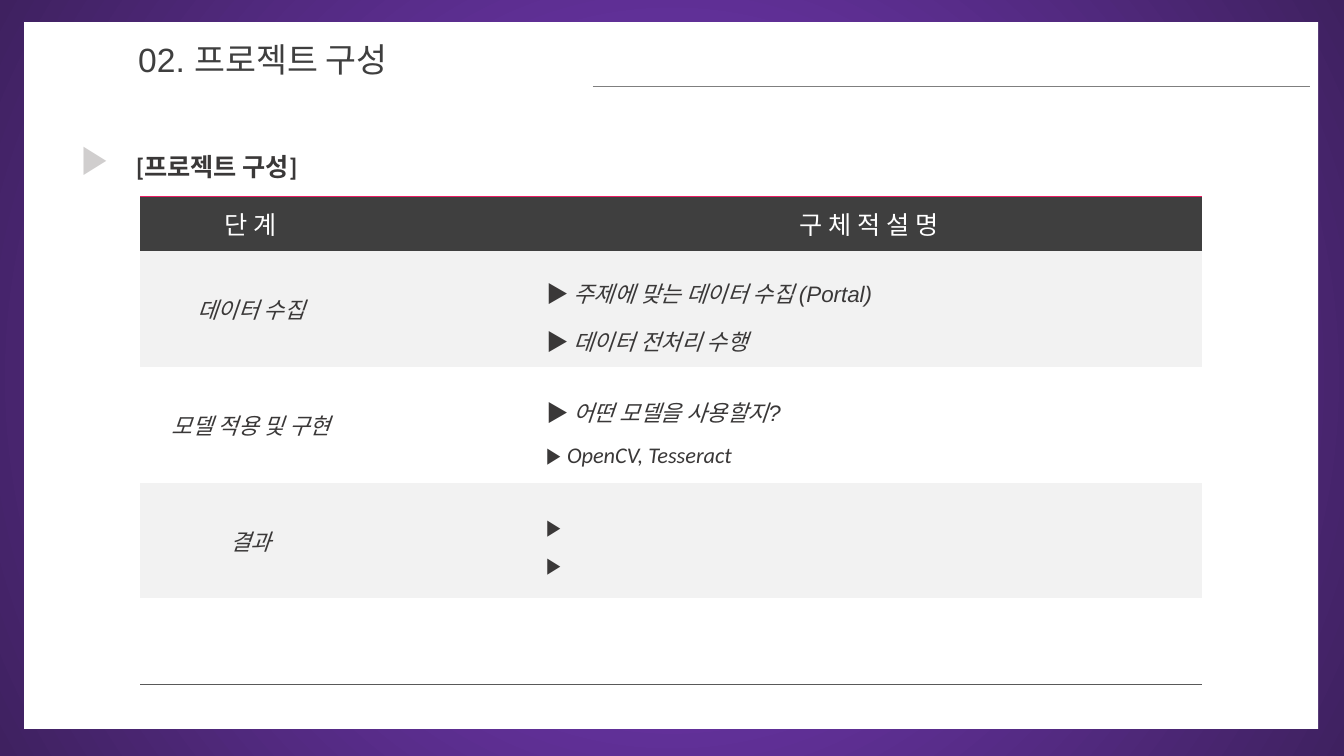
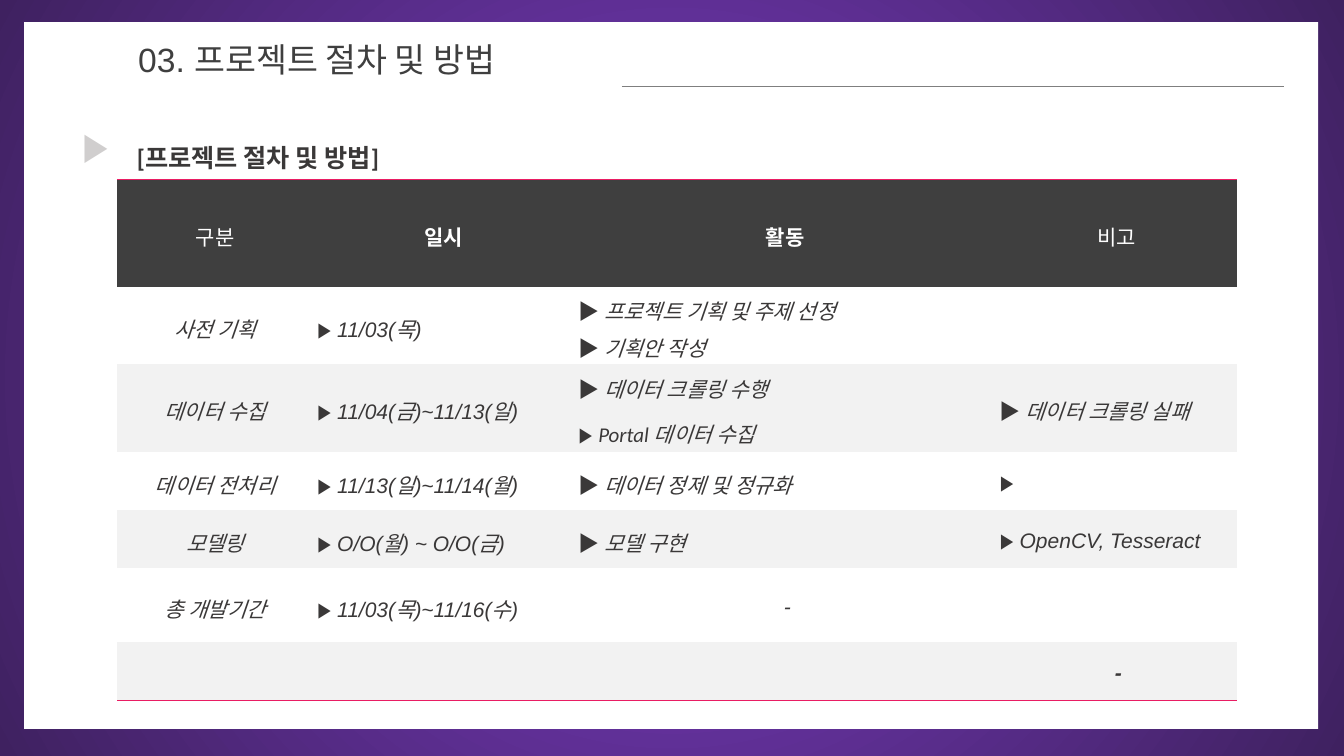
from dataclasses import dataclass

import lxml.etree
import pptx
import pptx.dml.color
import pptx.enum.shapes
import pptx.enum.text
import pptx.oxml
import pptx.oxml.ns
import pptx.util
from pptx.util import Cm

DARK, INK, GREY, PALE = "3F3F3F", "3A3838", "7F7F7F", "D0CECE"
WHITE, BAND, PINK = "FFFFFF", "F2F2F2", "E91D63"
GLOW, EDGE = "7E3DC8", "3F2160"
NO_STYLE = "{2D5ABB26-0587-4C30-8999-92F81FD0307C}"
LEFT, CENTER = pptx.enum.text.PP_ALIGN.LEFT, pptx.enum.text.PP_ALIGN.CENTER


@dataclass(frozen=True)
class Entry:
    text: str
    marked: bool = True
    bold: bool = False
    font: str = "Arial"
    before: float = 0


@dataclass(frozen=True)
class Sheet:
    left: float
    top: float
    columns: tuple[float, ...]
    heights: tuple[float, ...]
    size: float
    label_spacing: float
    item_spacing: float
    item_margins: tuple[float, float]
    shaded_parity: int
    bottom_line: str
    rows: tuple[tuple[tuple[Entry, ...], ...], ...]


@dataclass(frozen=True)
class Topic:
    title: str
    title_width: float
    rule: tuple[float, float]
    marker: tuple[float, float]
    subtitle: str
    subtitle_box: tuple[float, float, float, float]
    sheet: Sheet


def label(text: str, bold: bool = False) -> tuple[Entry, ...]:
    return (Entry(text, marked=False, bold=bold),)


def items(*entries: Entry | str) -> tuple[Entry, ...]:
    return tuple(Entry(entry) if isinstance(entry, str) else entry for entry in entries)


def color(code: str) -> pptx.dml.color.RGBColor:
    return pptx.dml.color.RGBColor.from_string(code)


def add_span(para, text: str, size: float, code: str, font: str = "Arial",
             bold: bool = False, italic: bool = False) -> None:
    span = para.add_run()
    span.text = text
    span.font.name, span.font.size = font, pptx.util.Pt(size)
    span.font.bold, span.font.italic = bold, italic
    span.font.color.rgb = color(code)


def paint_background(master) -> None:
    fill = master.background.fill
    fill.gradient()
    for stop, code in zip(fill.gradient_stops, (GLOW, EDGE)):
        stop.color.rgb = color(code)
    gradient = master.element.find(".//" + pptx.oxml.ns.qn("a:gradFill"))
    for linear in gradient.findall(pptx.oxml.ns.qn("a:lin")):
        gradient.remove(linear)
    radial = lxml.etree.SubElement(gradient, pptx.oxml.ns.qn("a:path"), {"path": "circle"})
    sides = dict.fromkeys("ltrb", "50000")
    lxml.etree.SubElement(radial, pptx.oxml.ns.qn("a:fillToRect"), sides)


def add_panel(page) -> None:
    panel = page.shapes.add_shape(pptx.enum.shapes.MSO_SHAPE.RECTANGLE,
                                  Cm(0.61), Cm(0.56), Cm(32.61), Cm(17.81))
    panel.shadow.inherit = False
    panel.fill.solid()
    panel.fill.fore_color.rgb = color(WHITE)
    panel.line.fill.background()
    page.shapes.title.element.addprevious(panel.element)


def set_title(page, text: str, width: float) -> None:
    title = page.shapes.title
    title.left, title.top, title.width, title.height = Cm(3.23), Cm(0.86), Cm(width), Cm(1.27)
    frame = title.text_frame
    frame.word_wrap = True
    frame.auto_size = pptx.enum.text.MSO_AUTO_SIZE.SHAPE_TO_FIT_TEXT
    frame.vertical_anchor = pptx.enum.text.MSO_ANCHOR.TOP
    para = frame.paragraphs[0]
    para.alignment = LEFT
    add_span(para, text, 24, DARK)


def add_rule(page, start: float, end: float) -> None:
    rule = page.shapes.add_connector(pptx.enum.shapes.MSO_CONNECTOR.STRAIGHT,
                                     Cm(start), Cm(2.18), Cm(end), Cm(2.18))
    rule.line.color.rgb = color(GREY)
    rule.line.width = pptx.util.Pt(1)
    properties = rule.element.find(pptx.oxml.ns.qn("p:spPr"))
    lxml.etree.SubElement(properties, pptx.oxml.ns.qn("a:effectLst"))


def add_text(page, bounds: tuple[float, float, float, float], text: str, size: float,
             code: str, font: str = "Arial", spacing: float = 1.0) -> None:
    box = page.shapes.add_textbox(*map(Cm, bounds))
    box.text_frame.word_wrap = True
    para = box.text_frame.paragraphs[0]
    para.line_spacing = spacing
    add_span(para, text, size, code, font, bold=True)


def add_border(cell, side: str, code: str) -> None:
    properties = cell._tc.get_or_add_tcPr()
    border = pptx.oxml.parse_xml(
        f'<a:{side} {pptx.oxml.ns.nsdecls("a")} w="9525"><a:solidFill>'
        f'<a:srgbClr val="{code}"/></a:solidFill></a:{side}>')
    properties.insert(0, border)


def fill_cell(cell, entries: tuple[Entry, ...], sheet: Sheet, heading: bool, item: bool) -> None:
    cell.vertical_anchor = pptx.enum.text.MSO_ANCHOR.MIDDLE
    if item:
        side, edge = sheet.item_margins
        cell.margin_left, cell.margin_right = Cm(side), Cm(edge)
        cell.margin_top = cell.margin_bottom = Cm(edge / 2)
    for index, entry in enumerate(entries):
        frame = cell.text_frame
        para = frame.add_paragraph() if index else frame.paragraphs[0]
        para.alignment = LEFT if entry.marked else CENTER
        para.line_spacing = sheet.item_spacing if item else sheet.label_spacing
        para.space_before = pptx.util.Pt(entry.before)
        code = WHITE if heading else INK
        if entry.marked:
            add_span(para, "▶ " if entry.text else "▶", sheet.size, code, bold=True)
        if entry.text:
            size = HEADING_SIZES[sheet.size] if heading else sheet.size
            add_span(para, entry.text, size, code, entry.font, entry.bold, not heading)


def add_sheet(page, sheet: Sheet) -> None:
    bounds = (sheet.left, sheet.top, sum(sheet.columns), sum(sheet.heights))
    holder = page.shapes.add_table(len(sheet.heights), len(sheet.columns), *map(Cm, bounds))
    holder.element.find(".//" + pptx.oxml.ns.qn("a:tableStyleId")).text = NO_STYLE
    table = holder.table
    table.first_row = table.horz_banding = False
    for column, width in zip(table.columns, sheet.columns):
        column.width = Cm(width)
    last = len(sheet.heights) - 1
    for row, height in enumerate(sheet.heights):
        table.rows[row].height = Cm(height)
        for column, entries in enumerate(sheet.rows[row]):
            cell = table.cell(row, column)
            band = BAND if row % 2 == sheet.shaded_parity else WHITE
            cell.fill.solid()
            cell.fill.fore_color.rgb = color(band if row else DARK)
            fill_cell(cell, entries, sheet, row == 0, row > 0 and column > 0)
            if row == 0:
                add_border(cell, "lnT", PINK)
            elif row == last:
                add_border(cell, "lnB", sheet.bottom_line)


def add_topic(deck, topic: Topic) -> None:
    page = deck.slides.add_slide(deck.slide_layouts[5])
    add_panel(page)
    set_title(page, topic.title, topic.title_width)
    add_rule(page, *topic.rule)
    add_text(page, (*topic.marker, 1.4, 1.45), "▶", 28, PALE)
    add_text(page, topic.subtitle_box, topic.subtitle, 18, INK, "Calibri", 1.5)
    add_sheet(page, topic.sheet)


HEADING_SIZES = {16: 18, 15: 15}

STRUCTURE = Sheet(
    3.53, 4.95, (5.59, 4.39, 16.79), (1.37, 2.92, 2.92, 2.92, 2.16),
    16, 1.0, 1.5, (0.25, 0.25), 1, "595959",
    (
        (label("단 계"), (), label("구 체 적 설 명")),
        (label("데이터 수집"), (),
         items("주제에 맞는 데이터 수집 (Portal)", Entry("데이터 전처리 수행", font="Calibri"))),
        (label("모델 적용 및 구현"), (),
         items("어떤 모델을 사용할지?", Entry("OpenCV, Tesseract", font="Calibri"))),
        (label("결과"), (), items("", "")),
        ((), (), ()),
    ),
)

PROCEDURE = Sheet(
    2.95, 4.52, (4.95, 6.58, 10.62, 6.07), (2.72, 1.93, 2.21, 1.47, 1.47, 1.85, 1.47),
    15, 1.2, 1.2, (0.1, 0), 0, PINK,
    (
        (label("구분"), label("일시", True), label("활동", True), label("비고")),
        (label("사전 기획"), items("11/03(목)"),
         items("프로젝트 기획 및 주제 선정", "기획안 작성"), ()),
        (label("데이터 수집"), items("11/04(금)~11/13(일)"),
         items("데이터 크롤링 수행", Entry("Portal 데이터 수집", font="Calibri", before=6)),
         items("데이터 크롤링 실패")),
        (label("데이터 전처리"), items("11/13(일)~11/14(월)"),
         items("데이터 정제 및 정규화"), items("")),
        (label("모델링"), items("O/O(월) ~ O/O(금)"),
         items("모델 구현"), items("OpenCV, Tesseract")),
        (label("총 개발기간"), items("11/03(목)~11/16(수)"), label("-"), ()),
        ((), (), (), label("-", True)),
    ),
)

TOPICS = (
    Topic("02. 프로젝트 구성", 10.77, (14.94, 33.02), (1.8, 3.23),
          "[프로젝트 구성]", (3.18, 3.3, 28.35, 1.42), STRUCTURE),
    Topic("03. 프로젝트 절차 및 방법", 11.63, (15.67, 32.36), (1.83, 2.92),
          "[프로젝트 절차 및 방법]", (3.2, 3.07, 28.85, 1.42), PROCEDURE),
)


def main() -> None:
    deck = pptx.Presentation()
    deck.slide_width, deck.slide_height = Cm(33.87), Cm(19.05)
    paint_background(deck.slide_master)
    for topic in TOPICS:
        add_topic(deck, topic)
    deck.save("out.pptx")


if __name__ == "__main__":
    main()
